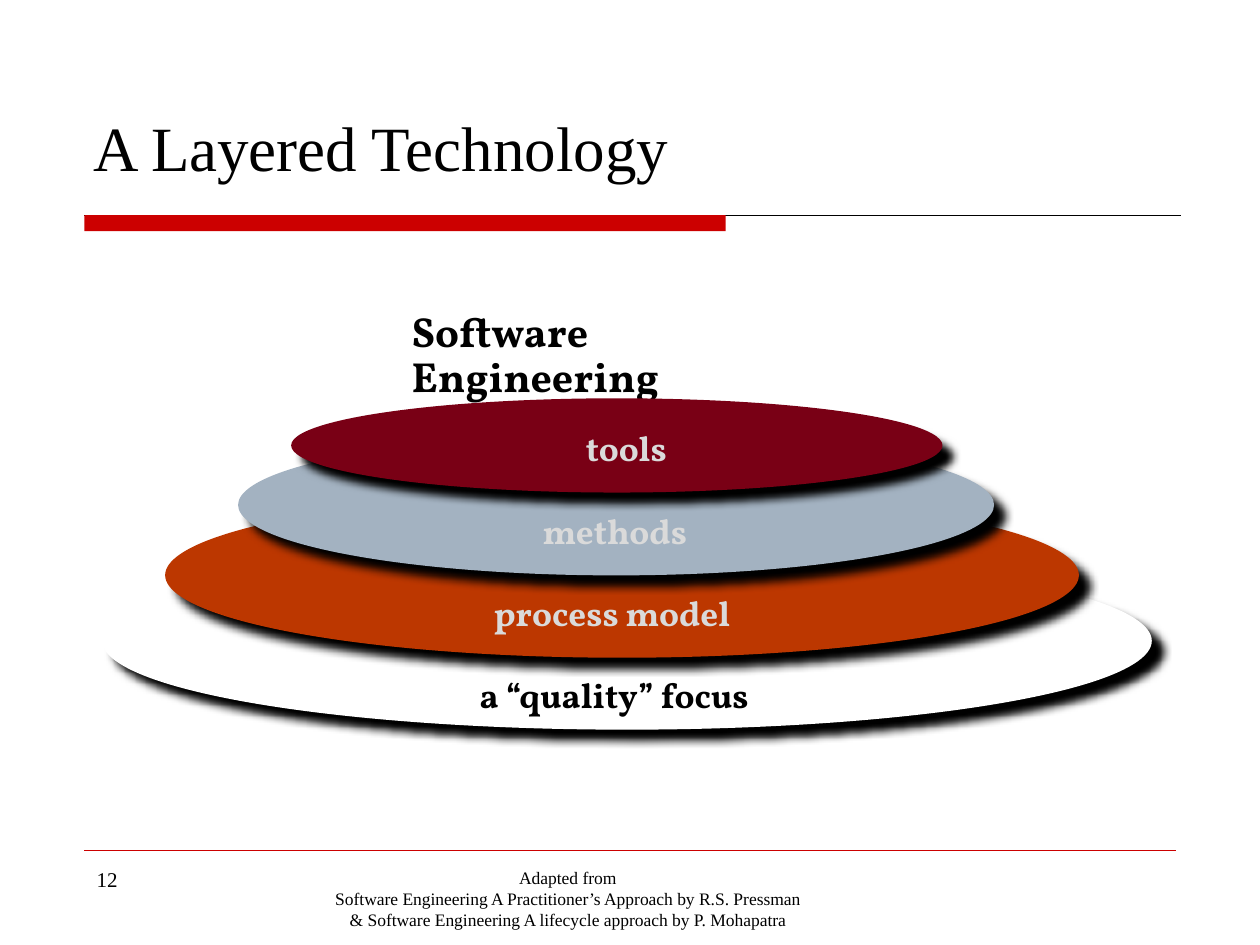
"""Build the layered technology slide."""
from lxml import etree
from pptx import Presentation
from pptx import util as u
from pptx.dml.color import RGBColor
from pptx.enum import shapes, text
from pptx.oxml import ns

BLACK = RGBColor(0x00, 0x00, 0x00)
WHITE = RGBColor(0xFF, 0xFF, 0xFF)
RED = RGBColor(0xCC, 0x00, 0x00)
ORANGE = RGBColor(0xBC, 0x37, 0x00)
BLUE_GREY = RGBColor(0xA3, 0xB2, 0xC1)
MAROON = RGBColor(0x79, 0x00, 0x15)
LIGHT_GREY = RGBColor(0xDA, 0xDA, 0xDA)
BODY_FONT = "Times New Roman"
LABEL_FONT = "Vollkorn"
ALIGN = text.PP_ALIGN
LABEL_BOTTOM, LABEL_STEP = 13.46, 1.66

LAYERS = [
    ((2.06, 11.13, 21.16, 3.58), WHITE),
    ((3.33, 9.93, 18.42, 3.33), ORANGE),
    ((4.8, 8.76, 15.24, 2.84), BLUE_GREY),
    ((5.87, 8.03, 13.13, 1.9), MAROON),
]
LABELS = [
    ("a “quality” focus", 9.42, 6.15, BLACK),
    ("process model", 9.7, 5.49, LIGHT_GREY),
    ("methods", 10.69, 3.45, LIGHT_GREY),
    ("tools", 11.56, 2.18, LIGHT_GREY),
]
FOOTER = [
    "Adapted from",
    "Software Engineering A Practitioner’s Approach by R.S. Pressman",
    "& Software Engineering A lifecycle approach by P. Mohapatra",
]


class SlideBuilder:
    def __init__(self, slide):
        self.slide = slide

    def set_text(self, frame, lines, size, font, color, align, bold=False, spacing=None):
        frame.word_wrap = True
        frame.text = "\n".join(lines)
        for paragraph in frame.paragraphs:
            paragraph.alignment = align
            paragraph.line_spacing = spacing
            paragraph.font.size = u.Pt(size)
            paragraph.font.name = font
            paragraph.font.bold = bold
            paragraph.font.color.rgb = color

    def title(self, box, words):
        shape = self.slide.shapes.title
        shape.left, shape.top, shape.width, shape.height = map(u.Cm, box)
        frame = shape.text_frame
        frame.margin_left = frame.margin_right = u.Cm(0.18)
        frame.margin_top = frame.margin_bottom = u.Cm(0.08)
        frame.vertical_anchor = text.MSO_ANCHOR.MIDDLE
        self.set_text(frame, [words], 36, BODY_FONT, BLACK, ALIGN.LEFT)
        frame.auto_size = text.MSO_AUTO_SIZE.NONE

    def text_box(self, box, lines, size, font=BODY_FONT, color=BLACK,
                 align=ALIGN.LEFT, **style):
        shape = self.slide.shapes.add_textbox(*map(u.Cm, box))
        self.set_text(shape.text_frame, lines, size, font, color, align, **style)

    def shape(self, kind, box, color):
        shape = self.slide.shapes.add_shape(kind, *map(u.Cm, box))
        shape.shadow.inherit = False
        shape.fill.solid()
        shape.fill.fore_color.rgb = color
        shape.line.fill.background()
        return shape

    def layer(self, box, color):
        shape = self.shape(shapes.MSO_SHAPE.OVAL, box, color)
        effects = shape.element.spPr.find(ns.qn("a:effectLst"))
        shadow = etree.SubElement(
            effects, ns.qn("a:outerShdw"), blurRad=str(u.Pt(5)),
            dist=str(u.Pt(8.5)), dir="2700000", algn="ctr", rotWithShape="0")
        etree.SubElement(shadow, ns.qn("a:srgbClr"), val=str(BLACK))

    def rule(self, left, right, top, color):
        line = self.slide.shapes.add_connector(
            shapes.MSO_CONNECTOR.STRAIGHT, u.Cm(left), u.Cm(top), u.Cm(right), u.Cm(top))
        line.line.color.rgb = color
        line.line.width = u.Pt(0.75)
        etree.SubElement(line.element.spPr, ns.qn("a:effectLst"))


def main():
    presentation = Presentation()
    presentation.slide_width, presentation.slide_height = u.Cm(25.4), u.Cm(19.05)
    builder = SlideBuilder(presentation.slides.add_slide(presentation.slide_layouts[5]))

    builder.rule(1.7, 23.8, 4.34, BLACK)
    builder.shape(shapes.MSO_SHAPE.RECTANGLE, (1.7, 4.34, 12.93, 0.32), RED)
    builder.rule(1.7, 23.7, 17.15, RED)
    builder.text_box((1.7, 17.35, 5.51, 1.32), ["12"], 12)
    builder.text_box((6.15, 17.35, 10.59, 1.07), FOOTER, 10, align=ALIGN.CENTER)
    builder.title((1.7, 2.11, 12.14, 1.68), "A Layered Technology")
    builder.text_box((8.05, 6.15, 9.19, 1.17), ["Software Engineering"], 24,
                     LABEL_FONT, bold=True, spacing=0.9)

    for box, color in LAYERS:
        builder.layer(box, color)
    for level, (words, left, width, color) in enumerate(LABELS):
        box = (left, LABEL_BOTTOM - level * LABEL_STEP, width, 1.09)
        builder.text_box(box, [words], 20, LABEL_FONT, color, bold=True)

    presentation.save("out.pptx")


if __name__ == "__main__":
    main()
